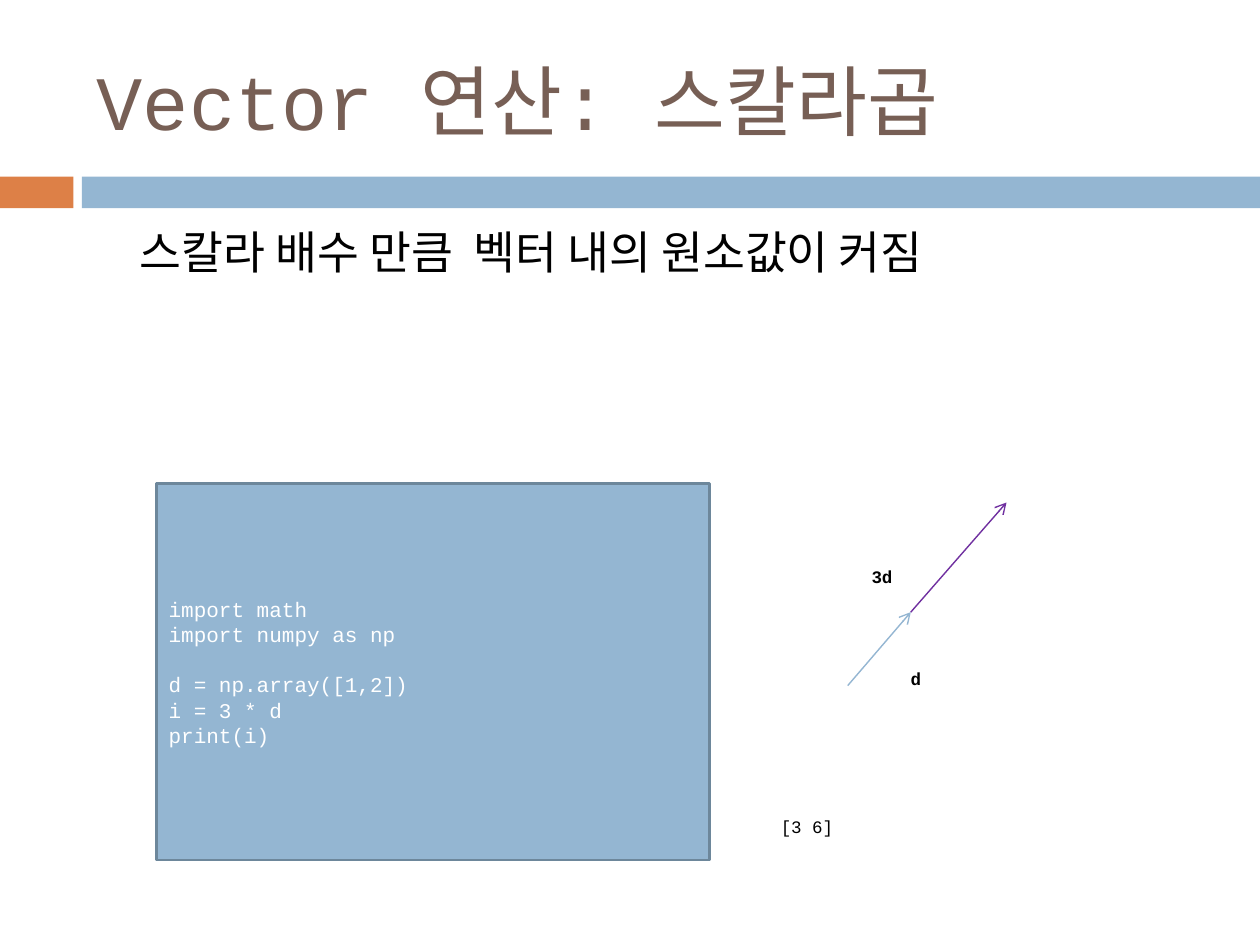
from dataclasses import dataclass

from pptx import Presentation
from pptx import util as u
from pptx.dml.color import RGBColor
from pptx.enum import shapes, text
from pptx.oxml import ns, xmlchemy

FONT = "Courier New"
COLORS = {
    "orange": "DD8047",
    "blue": "94B6D2",
    "edge": "6D879B",
    "brown": "775F55",
    "purple": "7030A0",
    "black": "000000",
    "white": "FFFFFF",
}


@dataclass
class Box:
    left: float
    top: float
    width: float
    height: float


@dataclass
class Label:
    text: str
    box: Box
    size: float
    color: str = "black"
    bold: bool = False
    middle: bool = False
    indent: float = 0.25


@dataclass
class Arrow:
    start: tuple[float, float]
    end: tuple[float, float]
    color: str


BARS = [
    (Box(0, 3.56, 1.48, 0.64), "orange"),
    (Box(1.65, 3.56, 23.75, 0.64), "blue"),
]
CODE_BOX = Box(3.15, 9.75, 11.15, 7.59)
CODE_BLOCKS = [
    ["import math", "import numpy as np"],
    ["d = np.array([1,2])", "i = 3 * d", "print(i)"],
]
LABELS = [
    Label("Vector 연산: 스칼라곱", Box(1.7, 0.64, 22.66, 2.74), 44, "brown", middle=True),
    Label("스칼라 배수 만큼  벡터 내의 원소값이 커짐", Box(1.3, 4.4, 22.86, 3.73), 26, indent=1.52),
    Label("[3 6]", Box(15.49, 16.33, 7.8, 0.69), 10),
    Label("d", Box(18.11, 13.34, 0.79, 0.69), 10, bold=True),
    Label("3d", Box(17.32, 11.28, 1.17, 0.69), 10, bold=True),
]
TIP = (18.36, 12.34)
ARROWS = [
    Arrow((17.09, 13.82), TIP, "blue"),
    Arrow(TIP, (20.29, 10.13), "purple"),
]


def rgb(name: str) -> RGBColor:
    return RGBColor.from_string(COLORS[name])


def place(box: Box) -> list[u.Cm]:
    return [u.Cm(n) for n in (box.left, box.top, box.width, box.height)]


def style(p, size: float, color: str, bold: bool = False) -> None:
    p.alignment = text.PP_ALIGN.LEFT
    p.font.name = FONT
    p.font.size = u.Pt(size)
    p.font.bold = bold
    p.font.color.rgb = rgb(color)


def add_rect(s, box: Box, fill: str):
    sp = s.shapes.add_shape(shapes.MSO_SHAPE.RECTANGLE, *place(box))
    sp.shadow.inherit = False
    sp.fill.solid()
    sp.fill.fore_color.rgb = rgb(fill)
    sp.line.fill.background()
    return sp


def add_label(s, label: Label) -> None:
    tf = s.shapes.add_textbox(*place(label.box)).text_frame
    tf.word_wrap = True
    tf.margin_left = u.Cm(label.indent)
    if label.middle:
        tf.vertical_anchor = text.MSO_ANCHOR.MIDDLE
    p = tf.paragraphs[0]
    p.text = label.text
    style(p, label.size, label.color, label.bold)


def add_code(s) -> None:
    sp = add_rect(s, CODE_BOX, "blue")
    sp.line.color.rgb = rgb("edge")
    sp.line.width = u.Pt(1.5)
    tf = sp.text_frame
    tf.word_wrap = True
    tf.vertical_anchor = text.MSO_ANCHOR.MIDDLE
    p = tf.paragraphs[0]
    for b, block in enumerate(CODE_BLOCKS):
        for i, line in enumerate(block):
            if b or i:
                p = tf.add_paragraph()
            p.text = line
            style(p, 12, "white")
            if b and i == 0:
                p.space_before = u.Pt(14.4)


def add_arrow(s, arrow: Arrow) -> None:
    ends = [u.Cm(n) for n in arrow.start + arrow.end]
    sp = s.shapes.add_connector(shapes.MSO_CONNECTOR.STRAIGHT, *ends)
    sp.line.color.rgb = rgb(arrow.color)
    sp.line.width = u.Pt(0.79)
    tail = xmlchemy.OxmlElement("a:tailEnd")
    tail.set("type", "arrow")
    sp.line._get_or_add_ln().append(tail)
    sp._element.find(ns.qn("p:spPr")).append(xmlchemy.OxmlElement("a:effectLst"))


def main() -> None:
    prs = Presentation()
    prs.slide_width, prs.slide_height = u.Cm(25.4), u.Cm(19.05)
    s = prs.slides.add_slide(prs.slide_layouts[6])
    for box, fill in BARS:
        add_rect(s, box, fill)
    add_code(s)
    for arrow in ARROWS:
        add_arrow(s, arrow)
    for label in LABELS:
        add_label(s, label)
    prs.save("out.pptx")


if __name__ == "__main__":
    main()
